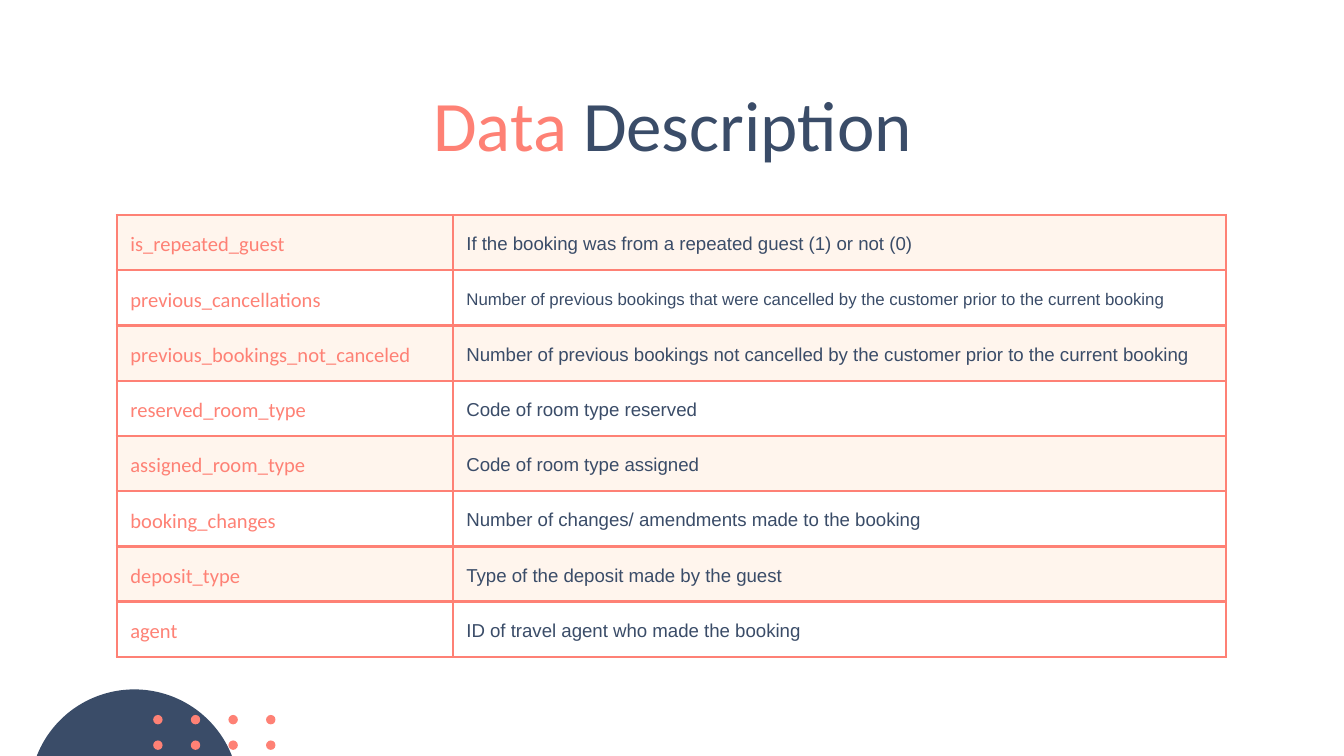
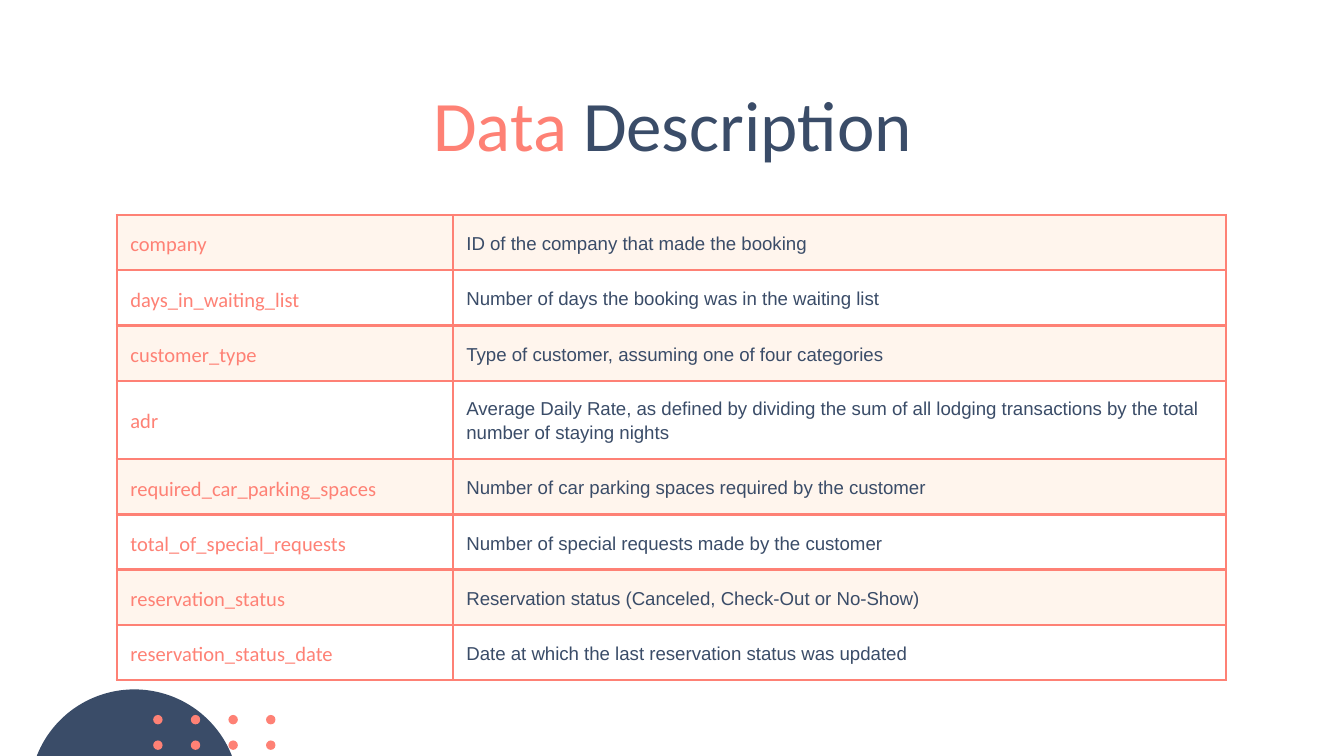
"""Build two slides that describe the booking data fields."""
import pptx
import pptx.dml.color
import pptx.enum.shapes
import pptx.enum.text
import pptx.oxml
import pptx.oxml.ns
import pptx.util

INCH = pptx.util.Inches
PT = pptx.util.Pt
CORAL = pptx.dml.color.RGBColor(0xFE, 0x81, 0x75)
NAVY = pptx.dml.color.RGBColor(0x3A, 0x4C, 0x68)
CREAM = pptx.dml.color.RGBColor(0xFF, 0xF5, 0xED)
OVAL = pptx.enum.shapes.MSO_SHAPE.OVAL
MID = pptx.enum.text.MSO_ANCHOR.MIDDLE

HEAD = [("Data ", CORAL), ("Description", NAVY)]
COLS = [2.5, 5.75]
ROW = 0.39
DOT = 0.07
STEP_X, STEP_Y = 0.28, 0.19
INSET = {"margin_" + side: INCH(0.1) for side in ("left", "top", "right", "bottom")}
NAME = {"size": PT(11), "name": "Calibri"}
NOTE = {"size": PT(10), "name": "Arial"}
SMALL = {"size": PT(9), "name": "Arial"}
TITLE = {"size": PT(38), "name": "Calibri"}

PAGES = [
    [
        ("is_repeated_guest", "If the booking was from a repeated guest (1) or not (0)", NOTE),
        ("previous_cancellations", "Number of previous bookings that were cancelled by the customer prior to the current booking", SMALL),
        ("previous_bookings_not_canceled", "Number of previous bookings not cancelled by the customer prior to the current booking", NOTE),
        ("reserved_room_type", "Code of room type reserved", NOTE),
        ("assigned_room_type", "Code of room type assigned", NOTE),
        ("booking_changes", "Number of changes/ amendments made to the booking", NOTE),
        ("deposit_type", "Type of the deposit made by the guest", NOTE),
        ("agent", "ID of travel agent who made the booking", NOTE),
    ],
    [
        ("company", "ID of the company that made the booking", NOTE),
        ("days_in_waiting_list", "Number of days the booking was in the waiting list", NOTE),
        ("customer_type", "Type of customer, assuming one of four categories", NOTE),
        ("adr", "Average Daily Rate, as defined by dividing the sum of all lodging transactions by the total number of staying nights", NOTE),
        ("required_car_parking_spaces", "Number of car parking spaces required by the customer", NOTE),
        ("total_of_special_requests", "Number of special requests made by the customer", NOTE),
        ("reservation_status", "Reservation status (Canceled, Check-Out or No-Show)", NOTE),
        ("reservation_status_date", "Date at which the last reservation status was updated", NOTE),
    ],
]


def style(item, form):
    for key, value in form.items():
        setattr(item, key, value)


def write(para, text, form, hue):
    run = para.add_run()
    run.text = text
    style(run.font, form)
    run.font.color.rgb = hue


deck = pptx.Presentation()
style(deck, {"slide_width": INCH(10), "slide_height": INCH(5.625)})

discs = [(0.22, 5.13, 1.56, NAVY)]
discs += [(1.14 + col * STEP_X, 5.32 + row * STEP_Y, DOT, CORAL)
          for row in range(2) for col in range(4)]

for page in PAGES:
    slide = deck.slides.add_slide(deck.slide_layouts[6])

    for left, top, size, hue in discs:
        disc = slide.shapes.add_shape(OVAL, INCH(left), INCH(top), INCH(size), INCH(size))
        disc.shadow.inherit = False
        disc.fill.solid()
        disc.fill.fore_color.rgb = hue
        disc.line.fill.background()

    box = slide.shapes.add_textbox(INCH(0.94), INCH(0.5), INCH(8.13), INCH(0.63))
    style(box.text_frame, {"word_wrap": True, **INSET})
    para = box.text_frame.paragraphs[0]
    para.alignment = pptx.enum.text.PP_ALIGN.CENTER
    for text, hue in HEAD:
        write(para, text, TITLE, hue)

    frame = slide.shapes.add_table(len(page), len(COLS), INCH(0.87), INCH(1.6),
                                   INCH(sum(COLS)), INCH(ROW * len(page)))
    table = frame.table
    style(table, {"first_row": False, "horz_banding": False})
    for col, width in zip(table.columns, COLS):
        col.width = INCH(width)

    for row, (name, note, form) in enumerate(page):
        for col, (text, face, hue) in enumerate([(name, NAME, CORAL), (note, form, NAVY)]):
            cell = table.cell(row, col)
            style(cell, {"vertical_anchor": MID, **INSET})
            para = cell.text_frame.paragraphs[0]
            style(para, {"line_spacing": 1.15, "space_after": PT(16 * col)})
            write(para, text, face, hue)
            props = cell._tc.get_or_add_tcPr()
            for edge in ("lnL", "lnR", "lnT", "lnB"):
                props.append(pptx.oxml.parse_xml(
                    f'<a:{edge} {pptx.oxml.ns.nsdecls("a")} w="{PT(1.5)}"><a:solidFill>'
                    f'<a:srgbClr val="{CORAL}"/></a:solidFill></a:{edge}>'))
            if row % 2:
                cell.fill.background()
            else:
                cell.fill.solid()
                cell.fill.fore_color.rgb = CREAM

deck.save("out.pptx")
